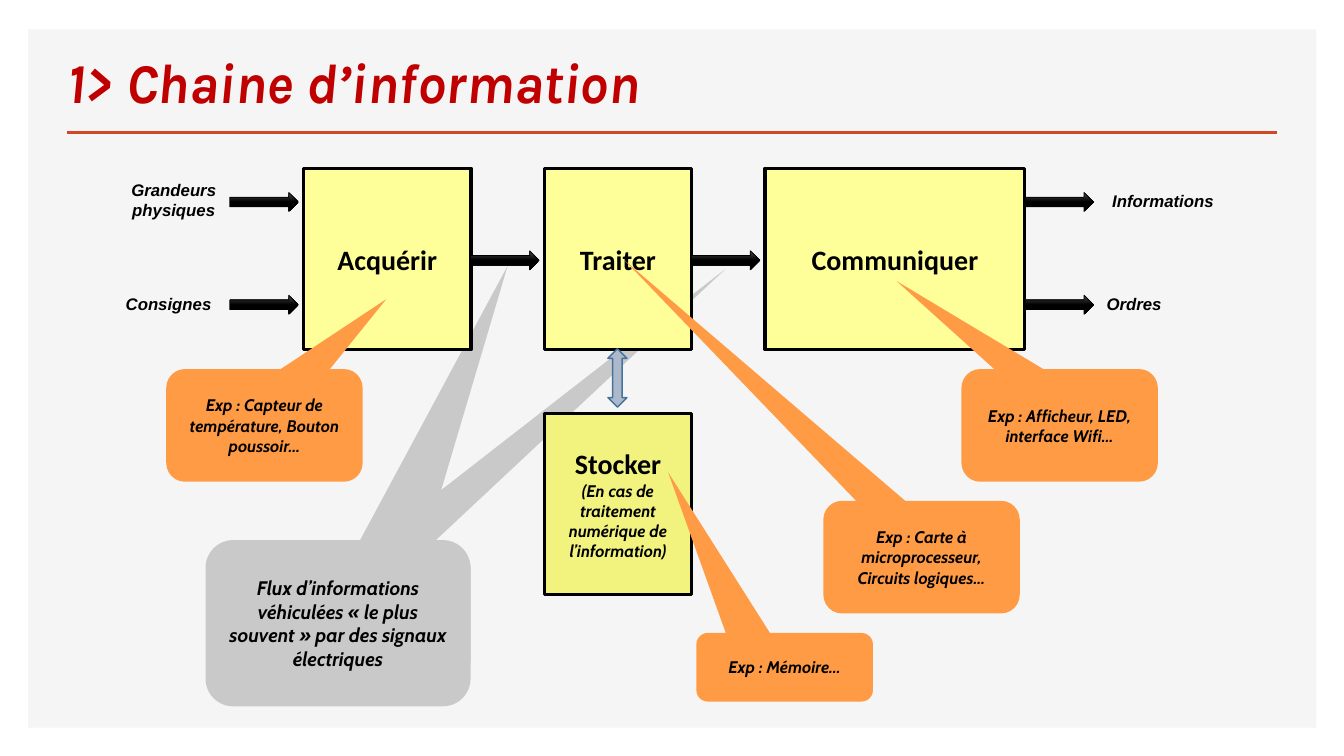
from lxml.etree import SubElement
from pptx import Presentation
from pptx.dml.color import RGBColor
from pptx.enum.shapes import MSO_CONNECTOR, MSO_SHAPE
from pptx.enum.text import MSO_ANCHOR, PP_ALIGN
from pptx.oxml.ns import qn
from pptx.util import Cm, Pt

# Content: lengths in cm
COLORS = {
    "panel": "F5F5F5", "rule": "D24726", "title": "C00000", "black": "000000",
    "box": "FFFF99", "store": "F1F37E", "flow": "C9C9C9", "example": "FF9B45",
    "shine": "4B4B4B", "link": "ADB9CA", "link_edge": "43739E",
}
TITLE = "1> Chaine d’information"
ROW_TOP, BOX_H = 4.24, 4.57
STORE_NOTE = "(En cas de traitement numérique de l’information)"
BOXES = [  # name, note, left, top, width, fill
    ("Acquérir", "", 7.65, ROW_TOP, 4.22, "box"),
    ("Traiter", "", 13.72, ROW_TOP, 3.71, "box"),
    ("Communiquer", "", 19.28, ROW_TOP, 6.55, "box"),
    ("Stocker", STORE_NOTE, 13.72, 10.41, 3.71, "store"),
]
ARROW_W, ARROW_H = 1.73, 0.48
HIGH, MIDDLE, LOW = 4.85, 6.32, 7.44
ARROWS = [(5.79, HIGH), (5.79, LOW), (11.86, MIDDLE), (17.42, MIDDLE),
          (25.83, HIGH), (25.83, LOW)]
LABELS = [  # text, left, top, width, height
    ("Grandeurs physiques", 2.59, 4.24, 3.58, 1.57),
    ("Consignes", 2.46, 7.19, 3.58, 0.94),
    ("Informations", 27.2, 4.6, 4.22, 0.94),
    ("Ordres", 26.47, 7.19, 4.22, 0.94),
]
FLOWS = [  # text, frame, tip offset as a share of the size
    ("", (5.79, 13.74, 6.07, 3.45), (1.56, -2.52)),
    ("Flux d’informations véhiculées « le plus souvent » par des signaux électriques",
     (5.18, 13.61, 6.68, 4.19), (0.64, -2.15)),
]
EXAMPLES = [
    ("Exp : Afficheur, LED, interface Wifi…", (24.23, 9.3, 4.95, 2.84), (-0.83, -1.28)),
    ("Exp : Carte à microprocesseur, Circuits logiques…",
     (20.75, 12.62, 4.95, 2.84), (-1.51, -2.63)),
    ("Exp : Mémoire…", (17.55, 15.95, 4.45, 1.73), (-0.66, -2.84)),
    ("Exp : Capteur de température, Bouton poussoir…",
     (4.19, 9.3, 4.95, 2.84), (0.62, -1.12)),
]

prs = Presentation()
prs.slide_width, prs.slide_height = Cm(33.87), Cm(19.05)
s = prs.slides.add_slide(prs.slide_layouts[6])


def rgb(name):
    return RGBColor.from_string(COLORS[name])


def add_shape(kind, frame, fill, line=None, width=1):
    sp = s.shapes.add_shape(kind, *map(Cm, frame))
    sp.shadow.inherit = False
    sp.fill.solid()
    sp.fill.fore_color.rgb = rgb(fill)
    if line:
        sp.line.color.rgb = rgb(line)
        sp.line.width = Pt(width)
    else:
        sp.line.fill.background()
    return sp


def write(sp, lines, align=PP_ALIGN.CENTER, anchor=MSO_ANCHOR.MIDDLE):
    """Each line is (text, font, size, italic, colour)."""
    tf = sp.text_frame
    tf.word_wrap = True
    tf.vertical_anchor = anchor
    for i, (text, font, size, italic, color) in enumerate(lines):
        p = tf.add_paragraph() if i else tf.paragraphs[0]
        p.alignment = align
        r = p.add_run()
        r.text = text
        r.font.name, r.font.size = font, Pt(size)
        r.font.bold, r.font.italic = True, italic
        r.font.color.rgb = rgb(color)


def add_callout(text, frame, tip, fill, size):
    sp = add_shape(MSO_SHAPE.ROUNDED_RECTANGULAR_CALLOUT, frame, fill)
    sp.adjustments[0], sp.adjustments[1] = tip
    if text:
        write(sp, [(text, "Cabin", size, True, "black")])


# Panel, title and rule
add_shape(MSO_SHAPE.RECTANGLE, (0.71, 0.74, 32.46, 17.6), "panel")
rule = s.shapes.add_connector(MSO_CONNECTOR.STRAIGHT, Cm(1.68), Cm(3.33), Cm(32.18), Cm(3.33))
rule.line.color.rgb = rgb("rule")
rule.line.width = Pt(2)
SubElement(rule._element.spPr, qn("a:effectLst"))
title = s.shapes.add_textbox(Cm(1.45), Cm(1.24), Cm(30.99), Cm(1.78))
write(title, [(TITLE, "Karla", 40, True, "title")], PP_ALIGN.LEFT, MSO_ANCHOR.BOTTOM)

# Information flow callouts, behind the boxes
for text, frame, tip in FLOWS:
    add_callout(text, frame, tip, "flow", 14)

# Function boxes
for name, note, left, top, width, fill in BOXES:
    sp = add_shape(MSO_SHAPE.RECTANGLE, (left, top, width, BOX_H), fill, "black", 2.25)
    lines = [(name, "Calibri", 20, False, "black")]
    if note:
        lines.append((note, "Cabin", 12, True, "black"))
    write(sp, lines)

# Arrows
for left, top in ARROWS:
    sp = add_shape(MSO_SHAPE.RIGHT_ARROW, (left, top, ARROW_W, ARROW_H), "black", "black", 0.5)
    sp.fill.gradient()
    sp.fill.gradient_angle = 270
    for stop, color, position in zip(sp.fill.gradient_stops, ("shine", "black"), (0, 0.5)):
        stop.color.rgb = rgb(color)
        stop.position = position
add_shape(MSO_SHAPE.UP_DOWN_ARROW, (15.32, 8.79, 0.48, 1.47), "link", "link_edge")

# Input and output labels
for text, *frame in LABELS:
    write(s.shapes.add_textbox(*map(Cm, frame)), [(text, "Arial", 12, True, "black")])

# Example callouts
for text, frame, tip in EXAMPLES:
    add_callout(text, frame, tip, "example", 12)

prs.save("out.pptx")
